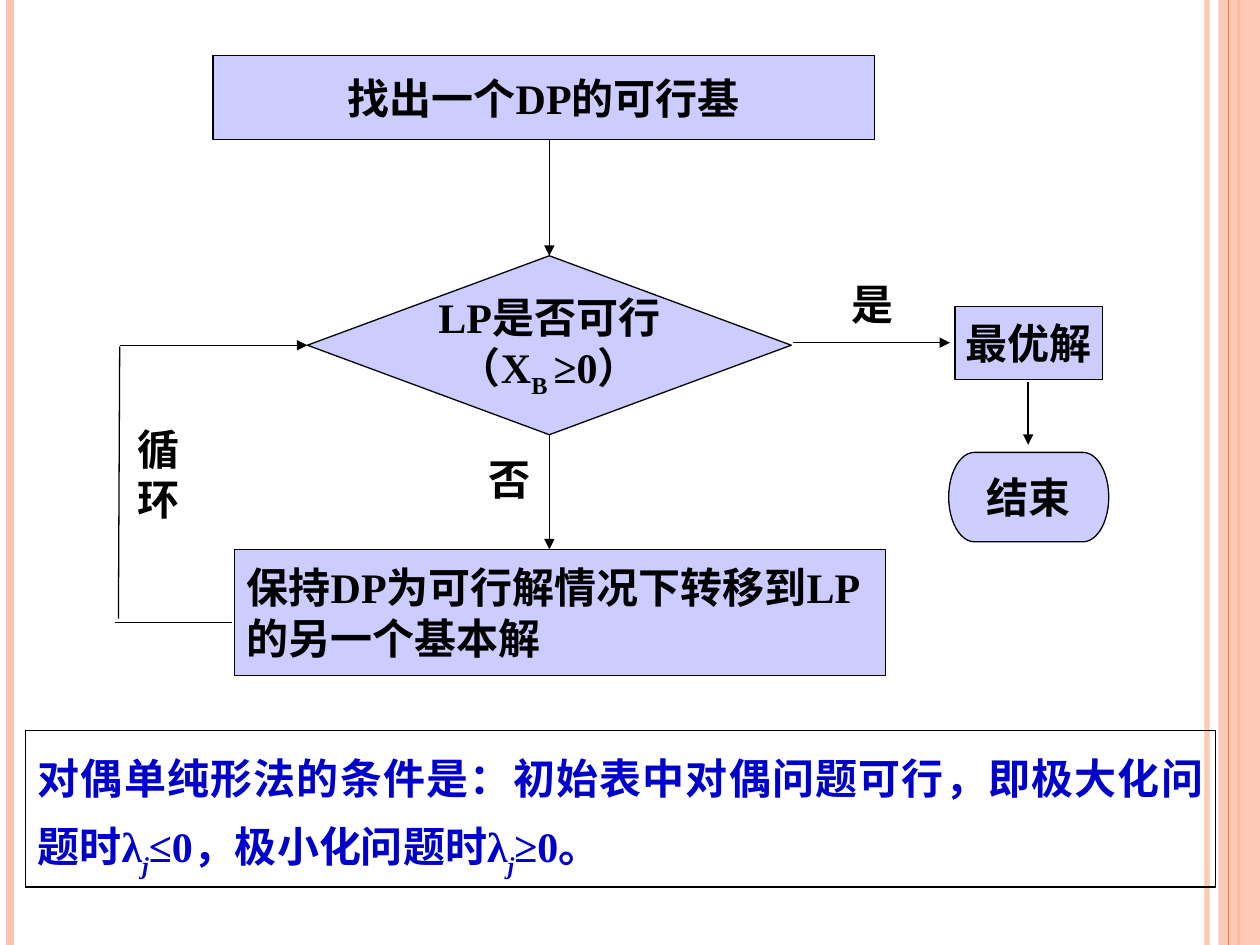
from lxml import etree
from pptx import Presentation, util as u
from pptx.dml.color import RGBColor
from pptx.enum import shapes, text
from pptx.oxml import ns

COLORS = {"ink": "000000", "note": "0000CC", "step": "CCCCFF", "end": "CDCDFF",
          "band": "FEC3AE", "rule": "FE8637"}
FONT, SIZE = "Times New Roman", 24
WIDTH, HEIGHT = 10, 7.5
SHAPE, ALIGN = shapes.MSO_SHAPE, text.PP_ALIGN

RULES = [(9.58, "band", 3, 93), (0.08, "band", 4.5, 100), (9.83, "rule", 1.5, 100)]
SIDE_BAND = (9.67, 0, 0.33, HEIGHT)
INNER_RULE = (9.75, "rule", 0.75, 100)

# name: preset, place, fill, alignment, wrap, paragraphs of (text, baseline) spans
STEPS = {
    "start": (SHAPE.RECTANGLE, (1.69, 0.44, 5.25, 0.67), "step", ALIGN.CENTER, False,
              [[("找出一个DP的可行基", 0)]]),
    "test": (SHAPE.DIAMOND, (2.44, 2.03, 3.84, 1.42), "step", ALIGN.CENTER, False,
             [[("LP是否可行", 0)], [("（X", 0), ("B ", -25), ("≥0）", 0)]]),
    "move": (SHAPE.RECTANGLE, (1.86, 4.36, 5.17, 1), "step", ALIGN.LEFT, True,
             [[("保持DP为可行解情况下转移到LP的另一个基本解", 0)]]),
    "optimum": (SHAPE.RECTANGLE, (7.58, 2.43, 1.17, 0.58), "step", ALIGN.CENTER, False,
                [[("最优解", 0)]]),
    "finish": (SHAPE.FLOWCHART_TERMINATOR, (7.53, 3.59, 1.27, 0.71), "end", ALIGN.CENTER, True,
               [[("结束", 0)]]),
}
LABELS = [((6.66, 2.16, 0.53, 0.5), ["是"]),
          ((3.78, 3.55, 0.53, 0.5), ["否"]),
          ((0.99, 3.31, 0.53, 0.9), ["循", "环"])]
NOTE_PLACE = (0.2, 5.8, 9.45, 1.24)
NOTE = [[("对偶单纯形法的条件是：初始表中对偶问题可行，即极大化问题时λ", 0), ("j", -30),
         ("≤0，极小化问题时λ", 0), ("j", -30), ("≥0。", 0)]]

# from, to, arrowhead, joined start, joined end
LINKS = [
    ((4.36, 1.11), (4.36, 2.03), True, None, ("test", 0)),
    ((4.36, 3.45), (4.36, 4.36), True, ("test", 2), None),
    ((6.29, 2.72), (7.54, 2.72), True, None, None),
    ((0.95, 2.74), (2.44, 2.74), True, None, ("test", 1)),
    ((0.95, 2.75), (0.94, 4.91), False, None, None),
    ((0.91, 4.94), (1.84, 4.94), False, None, None),
    ((8.16, 3.03), (8.16, 3.53), True, None, None),
]


def inches(values):
    return [u.Inches(value) for value in values]


def color(name):
    return RGBColor.from_string(COLORS[name])


def set_alpha(properties, percent):
    for paint in properties.iter(ns.qn("a:srgbClr")):
        etree.SubElement(paint, ns.qn("a:alpha"), val=str(percent * 1000))


def add_line(page, start, end, ink="ink", weight=0.75):
    line = page.shapes.add_connector(shapes.MSO_CONNECTOR.STRAIGHT, *inches(start + end))
    line.line.color.rgb = color(ink)
    line.line.width = u.Pt(weight)
    etree.SubElement(line._element.spPr, ns.qn("a:effectLst"))
    return line


def add_rule(page, x, ink, weight, alpha):
    rule = add_line(page, (x, 0), (x, HEIGHT), ink, weight)
    if alpha < 100:
        set_alpha(rule._element.spPr, alpha)


def add_box(page, preset, place, fill):
    box = page.shapes.add_shape(preset, *inches(place))
    box.shadow.inherit = False
    if fill:
        box.fill.solid()
        box.fill.fore_color.rgb = color(fill)
    else:
        box.fill.background()
    box.line.color.rgb = color("ink")
    box.line.width = u.Pt(0.75)
    return box


def write(box, paragraphs, align, wrap, anchor, ink="ink", spacing=None):
    frame = box.text_frame
    frame.word_wrap = wrap
    frame.vertical_anchor = anchor
    for index, spans in enumerate(paragraphs):
        para = frame.add_paragraph() if index else frame.paragraphs[0]
        para.alignment = align
        para.line_spacing = spacing
        font = para.font
        font.name, font.size, font.bold = FONT, u.Pt(SIZE), True
        font.color.rgb = color(ink)
        for words, baseline in spans:
            span = para.add_run()
            span.text = words
            if baseline:
                span._r.get_or_add_rPr().set("baseline", str(baseline * 1000))
            if words == "j":
                span.font.italic = True


def main():
    deck = Presentation()
    deck.slide_width, deck.slide_height = inches((WIDTH, HEIGHT))
    page = deck.slides.add_slide(deck.slide_layouts[6])

    for rule in RULES:
        add_rule(page, *rule)
    band = add_box(page, SHAPE.RECTANGLE, SIDE_BAND, "band")
    band.line.fill.background()
    set_alpha(band._element.spPr, 87)
    add_rule(page, *INNER_RULE)

    boxes = {}
    for name, (preset, place, fill, align, wrap, paragraphs) in STEPS.items():
        boxes[name] = add_box(page, preset, place, fill)
        write(boxes[name], paragraphs, align, wrap, text.MSO_ANCHOR.MIDDLE)

    for start, end, arrow, joined_start, joined_end in LINKS:
        link = add_line(page, start, end)
        if arrow:
            etree.SubElement(link.line._get_or_add_ln(), ns.qn("a:tailEnd"), type="triangle")
        if joined_start:
            link.begin_connect(boxes[joined_start[0]], joined_start[1])
        if joined_end:
            link.end_connect(boxes[joined_end[0]], joined_end[1])

    for place, lines in LABELS:
        label = page.shapes.add_textbox(*inches(place))
        write(label, [[(line, 0)] for line in lines], ALIGN.LEFT, False, text.MSO_ANCHOR.TOP)

    note = add_box(page, SHAPE.RECTANGLE, NOTE_PLACE, None)
    write(note, NOTE, ALIGN.JUSTIFY, True, text.MSO_ANCHOR.TOP, "note", 1.3)

    deck.save("out.pptx")


if __name__ == "__main__":
    main()
